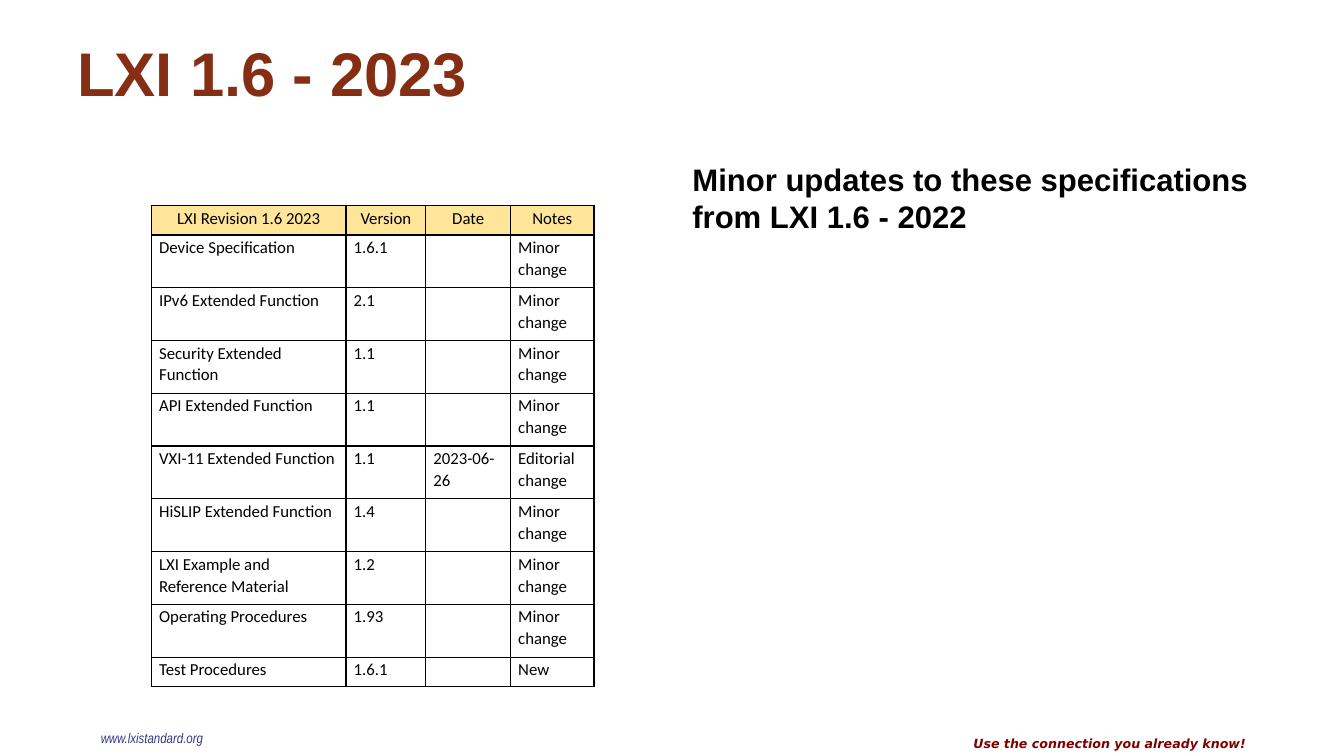
import pptx
import pptx.util
import pptx.dml.color
import pptx.enum.text
import pptx.oxml
from pptx.oxml import ns

Cm, Pt = pptx.util.Cm, pptx.util.Pt
RGBColor = pptx.dml.color.RGBColor
ANCHOR, ALIGN = pptx.enum.text.MSO_ANCHOR, pptx.enum.text.PP_ALIGN

RUST = RGBColor(0x85, 0x2E, 0x14)
BLACK = RGBColor(0, 0, 0)
NAVY = RGBColor(0x34, 0x38, 0x82)
MAROON = RGBColor(0x80, 0, 0)
SAND = RGBColor(0xFF, 0xE5, 0x99)

HEADER = ("LXI Revision 1.6 2023", "Version", "Date", "Notes")
SPECS = [
    ("Device Specification", "1.6.1", "", "Minor change"),
    ("IPv6 Extended Function", "2.1", "", "Minor change"),
    ("Security Extended Function", "1.1", "", "Minor change"),
    ("API Extended Function", "1.1", "", "Minor change"),
    ("VXI-11 Extended Function", "1.1", "2023-06-26", "Editorial change"),
    ("HiSLIP Extended Function", "1.4", "", "Minor change"),
    ("LXI Example and Reference Material", "1.2", "", "Minor change"),
    ("Operating Procedures", "1.93", "", "Minor change"),
    ("Test Procedures", "1.6.1", "", "New"),
]
COLUMNS = (4.9, 2.01, 2.14, 2.1)
ONE_LINE, TWO_LINES = 0.74, 1.33


class Deck:
    """Holds the style and the current slide."""

    heading_font, table_font = "Arial", "Calibri"

    def __init__(self, prs):
        self.slide = prs.slides.add_slide(prs.slide_layouts[6])

    def style(self, p, font, size, color, bold=False, italic=False):
        p.font.name, p.font.size = font, Pt(size)
        p.font.bold, p.font.italic = bold, italic
        p.font.color.rgb = color

    def text(self, text, box, font, size, color, bold=False, italic=False,
             anchor=ANCHOR.TOP, inset=True):
        sp = self.slide.shapes.add_textbox(*map(Cm, box))
        tf = sp.text_frame
        tf.word_wrap, tf.vertical_anchor = True, anchor
        if not inset:
            tf.margin_left = tf.margin_right = 0
            tf.margin_top = tf.margin_bottom = 0
        p = tf.paragraphs[0]
        p.text = text
        self.style(p, font, size, color, bold, italic)

    def cell(self, cell, text, header):
        cell.margin_left = cell.margin_right = Cm(0.19)
        cell.margin_top, cell.margin_bottom = Cm(0.03), 0
        p = cell.text_frame.paragraphs[0]
        p.text = text
        p.line_spacing = 1.07
        p.alignment = ALIGN.CENTER if header else ALIGN.LEFT
        self.style(p, self.table_font, 12, BLACK)
        if header:
            cell.fill.solid()
            cell.fill.fore_color.rgb = SAND
        else:
            cell.fill.background()
        # Borders go before the fill
        tc_pr = cell._tc.get_or_add_tcPr()
        for i, side in enumerate("LRTB"):
            tc_pr.insert(i, pptx.oxml.parse_xml(
                f'<a:ln{side} {ns.nsdecls("a")} w="{Pt(1)}"><a:solidFill>'
                f'<a:srgbClr val="{BLACK}"/></a:solidFill></a:ln{side}>'))

    def table(self, rows, left, top, widths, heights):
        table = self.slide.shapes.add_table(
            len(rows), len(widths), Cm(left), Cm(top),
            Cm(sum(widths)), Cm(sum(heights))).table
        table.first_row = table.horz_banding = False
        for column, width in zip(table.columns, widths):
            column.width = Cm(width)
        for r, (row, height) in enumerate(zip(rows, heights)):
            table.rows[r].height = Cm(height)
            for c, text in enumerate(row):
                self.cell(table.cell(r, c), text, header=r == 0)


def main():
    prs = pptx.Presentation()
    prs.slide_width, prs.slide_height = Cm(33.87), Cm(19.05)
    deck = Deck(prs)

    # Footer
    deck.text("www.lxistandard.org", (2.54, 18.39, 7.9, 0.43),
              "Arial Narrow", 10, NAVY, italic=True, inset=False)
    deck.text("Use the connection you already know!", (24.28, 18.42, 9.88, 0.63),
              "DejaVu Sans", 9, MAROON, bold=True, italic=True)

    # Title and summary
    deck.text("LXI 1.6 - 2023", (1.7, 0.76, 30.48, 3.18),
              deck.heading_font, 44, RUST, bold=True)
    deck.text("Minor updates to these specifications from LXI 1.6 - 2022",
              (17.2, 4.27, 14.96, 1.78), deck.heading_font, 22.2, BLACK,
              bold=True, anchor=ANCHOR.BOTTOM)

    # Specification table
    heights = [ONE_LINE] + [TWO_LINES] * (len(SPECS) - 1) + [ONE_LINE]
    deck.table([HEADER] + SPECS, 3.82, 5.18, COLUMNS, heights)

    prs.save("out.pptx")


if __name__ == "__main__":
    main()
